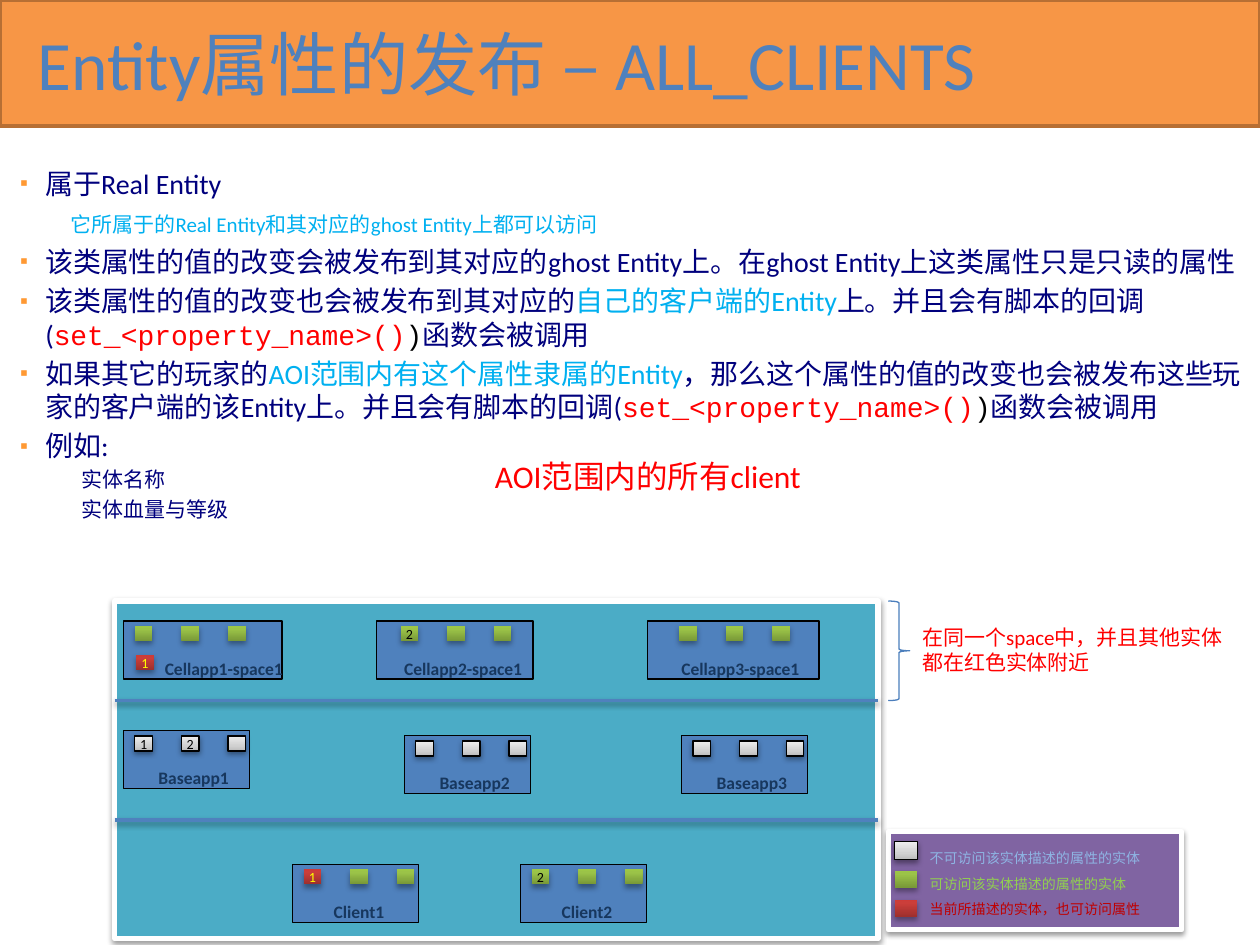
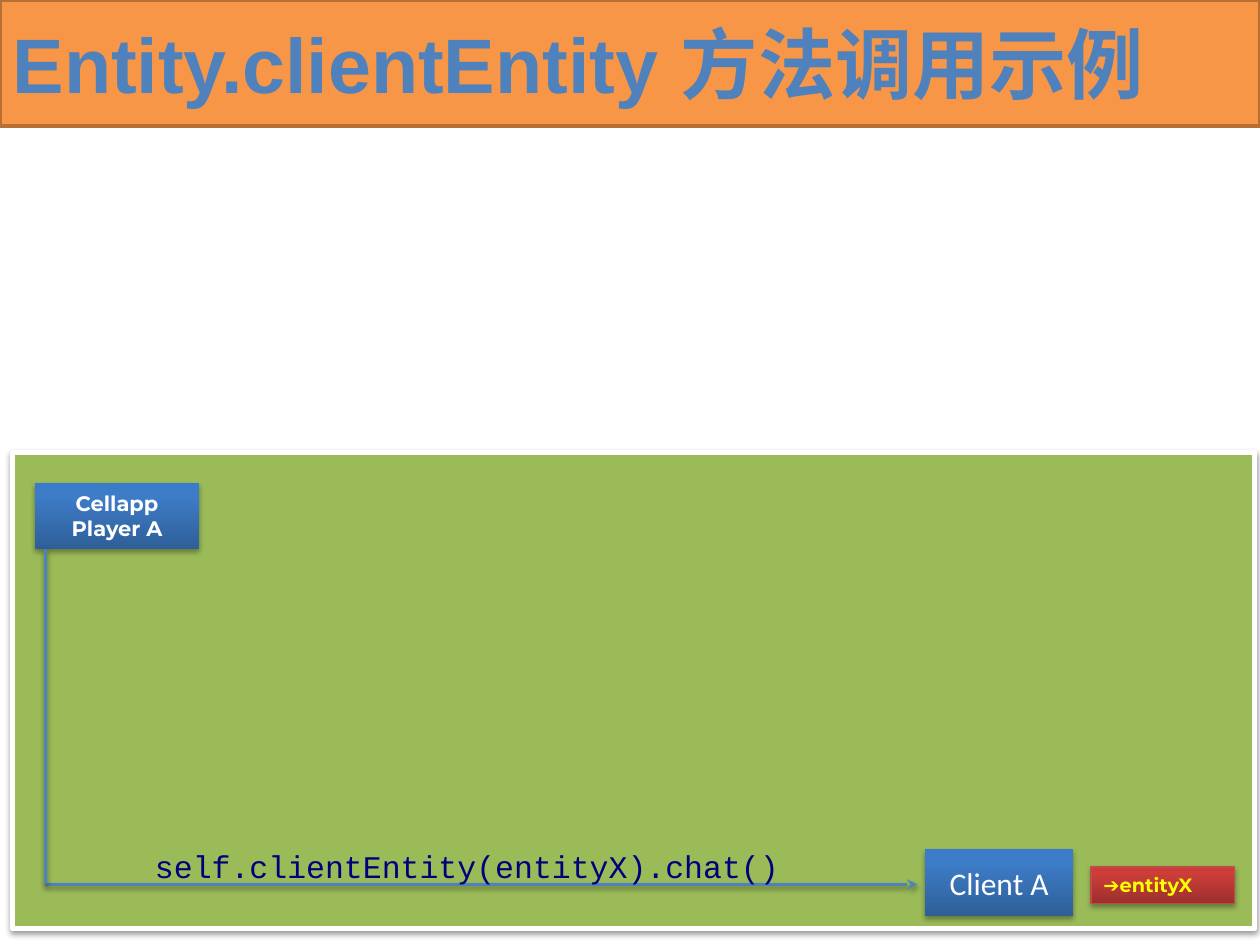
from dataclasses import dataclass
from lxml.etree import SubElement
from pptx import Presentation
from pptx.dml.color import RGBColor
from pptx.enum.dml import MSO_LINE
from pptx.enum.shapes import MSO_CONNECTOR, MSO_SHAPE
from pptx.enum.text import MSO_ANCHOR, MSO_AUTO_SIZE, PP_ALIGN
from pptx.oxml.ns import qn
from pptx.util import Emu, Inches, Pt


@dataclass(frozen=True)
class Theme:
    orange: str = "F79646"
    rust: str = "B76F34"
    blue: str = "4F81BD"
    brace: str = "4B7EBC"
    teal: str = "4BACC6"
    purple: str = "8064A2"
    lime: str = "9BBB59"
    navy: str = "00007D"
    label: str = "17375E"
    sky: str = "00B0F0"
    red: str = "FF0000"
    edge: str = "BF4C48"
    yellow: str = "FFFF00"
    black: str = "000000"
    white: str = "FFFFFF"
    bullet: str = "FF9933"
    pale: str = "8EB4E3"
    leaf: str = "92D050"
    wine: str = "C00000"
    sans: str = "Calibri"
    code: str = "Courier New"
    bold: str = "Montserrat"
    tiny: float = 8
    small: float = 10
    mark: float = 11
    note: float = 12
    body: float = 16
    large: float = 18


T = Theme()
GREEN = ((0, "779737"), (80, "9BC348"), (100, "9DC746"))
RED = ((0, "9C2F2D"), (80, "CB3E3A"), (100, "CE3B37"))
GREY = ((0, "BDBDBD"), (35, "D1D1D1"), (100, "EEEEEE"))
BLUE = ((0, "2F5F99"), (80, "3D7CC7"), (100, "3A7CCB"))
CHIPS = {"g": (GREEN, None, T.black), "r": (RED, None, T.yellow),
         "w": (GREY, T.black, T.black)}
SOFT = (38, 1.6)
DEEP = (35, 1.8)


def rgb(code):
    return RGBColor.from_string(code)


def sub(node, tag, **attrs):
    return SubElement(node, qn(tag), attrs)


def cast(item, depth):
    alpha, dist = depth
    props = item._element.spPr
    list_ = props.find(qn("a:effectLst"))
    if list_ is None:
        list_ = sub(props, "a:effectLst")
    shade = sub(list_, "a:outerShdw", blurRad=str(Pt(3.1)), dist=str(Pt(dist)),
                dir="5400000", rotWithShape="0")
    tone = sub(shade, "a:srgbClr", val=T.black)
    sub(tone, "a:alpha", val=str(alpha * 1000))


def paint(item, fill):
    if fill is None:
        item.fill.background()
    elif isinstance(fill, str):
        item.fill.solid()
        item.fill.fore_color.rgb = rgb(fill)
    else:
        item.fill.gradient()
        item.fill.gradient_angle = 90
        stops = item._element.spPr.find(".//" + qn("a:gsLst"))
        for stop in list(stops):
            stops.remove(stop)
        for pos, tone in fill:
            sub(sub(stops, "a:gs", pos=str(pos * 1000)), "a:srgbClr", val=tone)


def shape(slide, box, fill, line=None, width=0.75, depth=None, kind=MSO_SHAPE.RECTANGLE):
    item = slide.shapes.add_shape(kind, *map(Inches, box))
    item.shadow.inherit = False
    paint(item, fill)
    if line:
        item.line.color.rgb = rgb(line)
        item.line.width = Pt(width)
    else:
        item.line.fill.background()
    if depth:
        cast(item, depth)
    return item


def panel(slide, box, fill):
    return shape(slide, box, fill, T.white, 3, SOFT)


def rule(slide, start, end, head=False):
    item = slide.shapes.add_connector(MSO_CONNECTOR.STRAIGHT, *map(Inches, start + end))
    item.line.color.rgb = rgb(T.blue)
    item.line.width = Pt(2)
    item.line.dash_style = MSO_LINE.SOLID
    if head:
        sub(item.line._get_or_add_ln(), "a:tailEnd", type="stealth")
    cast(item, SOFT)


def run(para, text, size, color, font=T.sans, bold=False):
    part = para.add_run()
    part.text = text
    part.font.size = Pt(size)
    part.font.name = font
    part.font.bold = bold
    part.font.color.rgb = rgb(color)


def inset(frame, left=0, top=0, right=0, bottom=0):
    frame.margin_left, frame.margin_top = Inches(left), Inches(top)
    frame.margin_right, frame.margin_bottom = Inches(right), Inches(bottom)


def lines(frame, rows, align=PP_ALIGN.LEFT, gap=None):
    for num, row in enumerate(rows):
        para = frame.add_paragraph() if num else frame.paragraphs[0]
        para.alignment = align
        if gap:
            para.line_spacing = gap
        run(para, *row)


def label(slide, box, *rows, gap=None):
    frame = slide.shapes.add_textbox(*map(Inches, box)).text_frame
    frame.word_wrap = True
    lines(frame, rows, gap=gap)
    return frame


def page(deck, box, text, size, font, bold=False):
    slide = deck.slides.add_slide(deck.slide_layouts[5])
    band = shape(slide, (0, 0, 10, 1), T.orange, T.rust, 2)
    slide.shapes._spTree.insert(2, band._element)
    title = slide.shapes.title
    title.left, title.top, title.width, title.height = map(Inches, box)
    frame = title.text_frame
    frame.auto_size = MSO_AUTO_SIZE.NONE
    frame.vertical_anchor = MSO_ANCHOR.MIDDLE
    lines(frame, [(text, size, T.blue, font, bold)])
    return slide


def dot(para):
    props = para._p.get_or_add_pPr()
    sub(sub(props, "a:buClr"), "a:srgbClr", val=T.bullet)
    sub(props, "a:buSzPct", val="80000")
    sub(props, "a:buFont", typeface="Arial")
    sub(props, "a:buChar", char="▪")


def points(slide, box):
    frame = slide.shapes.add_textbox(*map(Inches, box)).text_frame
    frame.word_wrap = True
    inset(frame, 0.06, 0.01, 0.04, 0.05)
    call = [("上。并且会有脚本的回调(", T.navy), ("set_<property_name>()", T.red, T.code),
            (")", T.black, T.code), ("函数会被调用", T.navy)]
    rows = [
        (0, [("属于Real Entity", T.navy)]),
        (0.4, [("它所属于的Real Entity和其对应的ghost Entity上都可以访问", T.sky)]),
        (0, [("该类属性的值的改变会被发布到其对应的ghost Entity上。"
              "在ghost Entity上这类属性只是只读的属性", T.navy)]),
        (0, [("该类属性的值的改变也会被发布到其对应的", T.navy),
             ("自己的客户端的Entity", T.sky)] + call),
        (0, [("如果其它的玩家的", T.navy), ("AOI范围内有这个属性隶属的Entity", T.sky),
             ("，那么这个属性的值的改变也会被发布这些玩家的客户端的该Entity" + call[0][0],
              T.navy)] + call[1:]),
        (0, [("例如:", T.navy)]),
        (0.49, [("实体名称", T.navy)]),
        (0.49, [("实体血量与等级", T.navy)]),
    ]
    for num, (left, parts) in enumerate(rows):
        para = frame.add_paragraph() if num else frame.paragraphs[0]
        size = T.note if left else T.body
        props = para._p.get_or_add_pPr()
        props.set("marL", str(Inches(left or 0.2)))
        props.set("indent", str(Emu(0) if left else Inches(-0.2)))
        if not left:
            dot(para)
        if num:
            para.space_before = Pt(size * 0.2)
        if num == 1:
            para.space_before, para.space_after = Pt(6.8), Pt(1)
        for part in parts:
            run(para, part[0], size, *part[1:])


def chip(slide, x, y, code, w=0.14, h=0.12):
    fill, line, color = CHIPS[code[0]]
    item = shape(slide, (x, y, w, h), fill, line, depth=SOFT if line else DEEP)
    if code[1:]:
        frame = item.text_frame
        inset(frame)
        frame.word_wrap = False
        frame.vertical_anchor = MSO_ANCHOR.MIDDLE
        lines(frame, [(code[1:], T.tiny, color)], PP_ALIGN.CENTER)


def node(slide, box, name, shift, first, codes):
    x, y, w, h = box
    shape(slide, box, T.blue, T.black)
    label(slide, (x + shift, y + 0.24, 1.26, 0.27), (name, T.small, T.label, T.sans, True))
    for num, code in enumerate(codes.split()):
        chip(slide, x + first + 0.37 * num, y + 0.04, code)


def diagram(slide, box):
    x, y, w, h = box
    panel(slide, box, T.teal)
    for drop in (0.79, 1.74):
        rule(slide, (x, y + drop), (x + w, y + drop))
    nodes = [
        (0.07, 0.16, 1.26, "Cellapp1-space1", 0.23, 0.09, "g g g"),
        (2.08, 0.16, 1.24, "Cellapp2-space1", 0.12, 0.19, "g2 g g"),
        (4.23, 0.16, 1.36, "Cellapp3-space1", 0.17, 0.25, "g g g"),
        (0.07, 1.03, 1, "Baseapp1", 0.18, 0.09, "w1 w2 w"),
        (2.3, 1.07, 1, "Baseapp2", 0.18, 0.09, "w w w"),
        (4.5, 1.07, 1, "Baseapp3", 0.18, 0.09, "w w w"),
        (1.41, 2.09, 1, "Client1", 0.23, 0.09, "r1 g g"),
        (3.22, 2.09, 1, "Client2", 0.23, 0.09, "g2 g g"),
    ]
    for dx, dy, wide, *rest in nodes:
        node(slide, (x + dx, y + dy, wide, 0.46), *rest)
    chip(slide, x + 0.17, y + 0.43, "r1")


def legend(slide, box):
    x, y, w, h = box
    panel(slide, box, T.purple)
    for num, code in enumerate("wgr"):
        chip(slide, x + 0.05, y + 0.08 + 0.23 * num, code, 0.18, 0.14)
    label(slide, (x + 0.23, y + 0.03, w - 0.23, 0.71),
          ("不可访问该实体描述的属性的实体", T.tiny, T.pale),
          ("可访问该实体描述的属性的实体", T.tiny, T.leaf),
          ("当前所描述的实体，也可访问属性", T.tiny, T.wine), gap=1.5)


def aside(slide, box):
    x, y, w, h = box
    shape(slide, (x, y, 0.17, h), None, T.brace, kind=MSO_SHAPE.RIGHT_BRACE)
    label(slide, (x + 0.17, y + 0.14, w - 0.17, 0.5),
          ("在同一个space中，并且其他实体都在红色实体附近", T.note, T.red))


def button(slide, box, *rows):
    frame = shape(slide, box, BLUE, depth=DEEP).text_frame
    frame.word_wrap = True
    frame.vertical_anchor = MSO_ANCHOR.MIDDLE
    lines(frame, rows, PP_ALIGN.CENTER)


def flow(slide, box):
    x, y, w, h = box
    panel(slide, box, T.lime)
    left, low = x + 0.26, y + 3.43
    button(slide, (x + 0.18, y + 0.24, 1.3, 0.53),
           *[(text, T.note, T.white, T.bold, True) for text in ("Cellapp", "Player A")])
    rule(slide, (left, low), (x + 7.18, low), True)
    rule(slide, (left, y + 0.77), (left, low))
    frame = label(slide, (x + 1.13, y + 3.13, 4.98, 0.3),
                  ("self.clientEntity(entityX).chat()", T.large, T.navy, T.code))
    inset(frame)
    frame.word_wrap = False
    button(slide, (x + 7.24, y + 3.15, 1.18, 0.53), ("Client A", T.large, T.white))
    tag = shape(slide, (x + 8.56, y + 3.29, 1.14, 0.29), RED, T.edge, depth=DEEP).text_frame
    tag.vertical_anchor = MSO_ANCHOR.TOP
    lines(tag, [("➔", T.mark, T.yellow)])
    run(tag.paragraphs[0], "entityX", T.mark, T.yellow, T.bold, True)


def main():
    deck = Presentation()
    deck.slide_width, deck.slide_height = Inches(10), Inches(7.5)
    slide = page(deck, (0.2, 0.14, 9.69, 0.71), "Entity属性的发布 – ALL_CLIENTS", 39.6, T.sans)
    points(slide, (0.1, 1.31, 9.9, 3.23))
    diagram(slide, (0.91, 4.77, 6.06, 2.68))
    legend(slide, (7.05, 6.6, 2.33, 0.78))
    aside(slide, (7.05, 4.77, 2.85, 0.79))
    label(slide, (3.83, 3.58, 3.4, 0.4), ("AOI范围内的所有client", T.large, T.red))
    slide = page(deck, (0, 0.14, 10, 0.71), "Entity.clientEntity 方法调用示例", 44.1, "Arial", True)
    flow(slide, (0.1, 3.59, 9.86, 3.78))
    deck.save("out.pptx")


if __name__ == "__main__":
    main()
